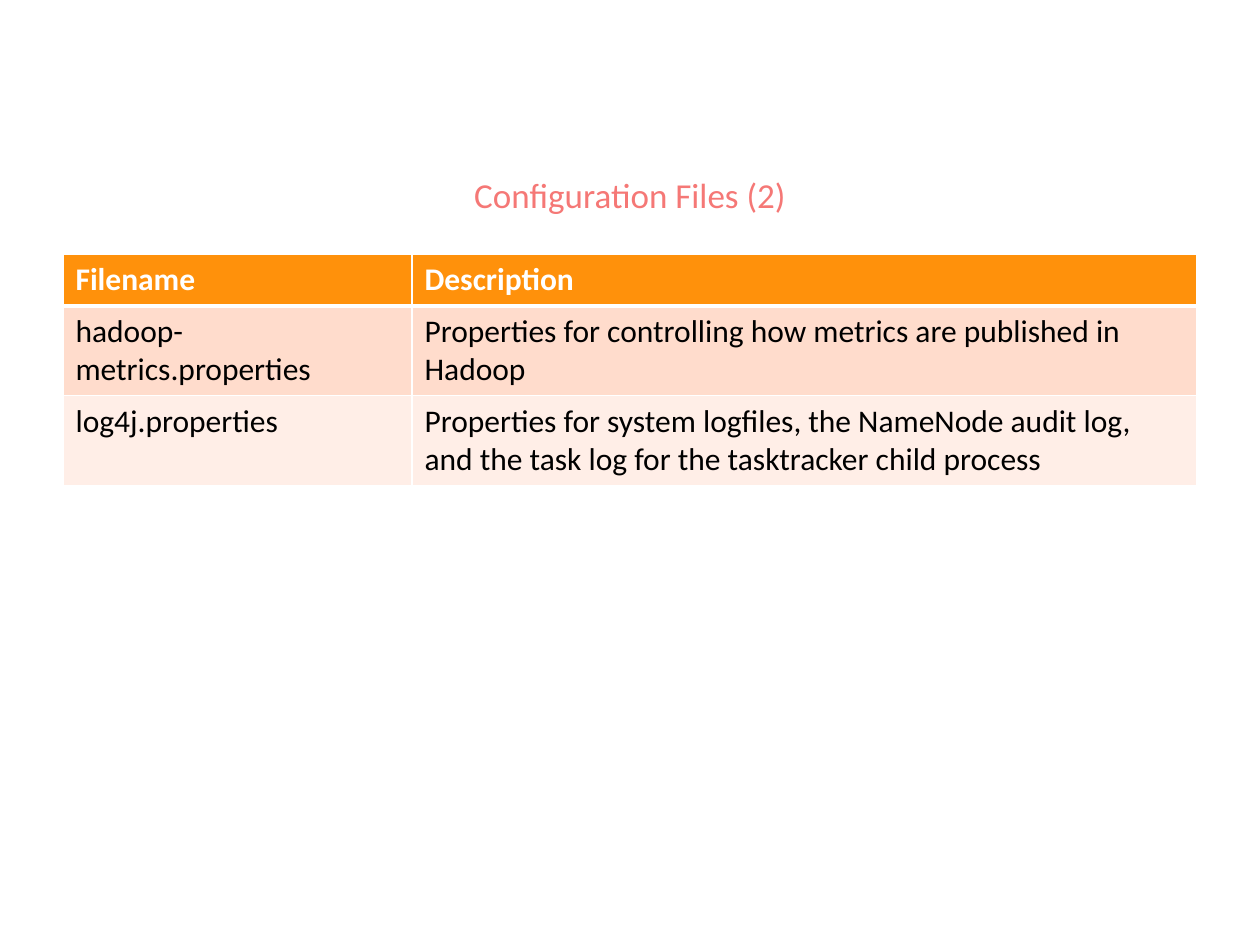
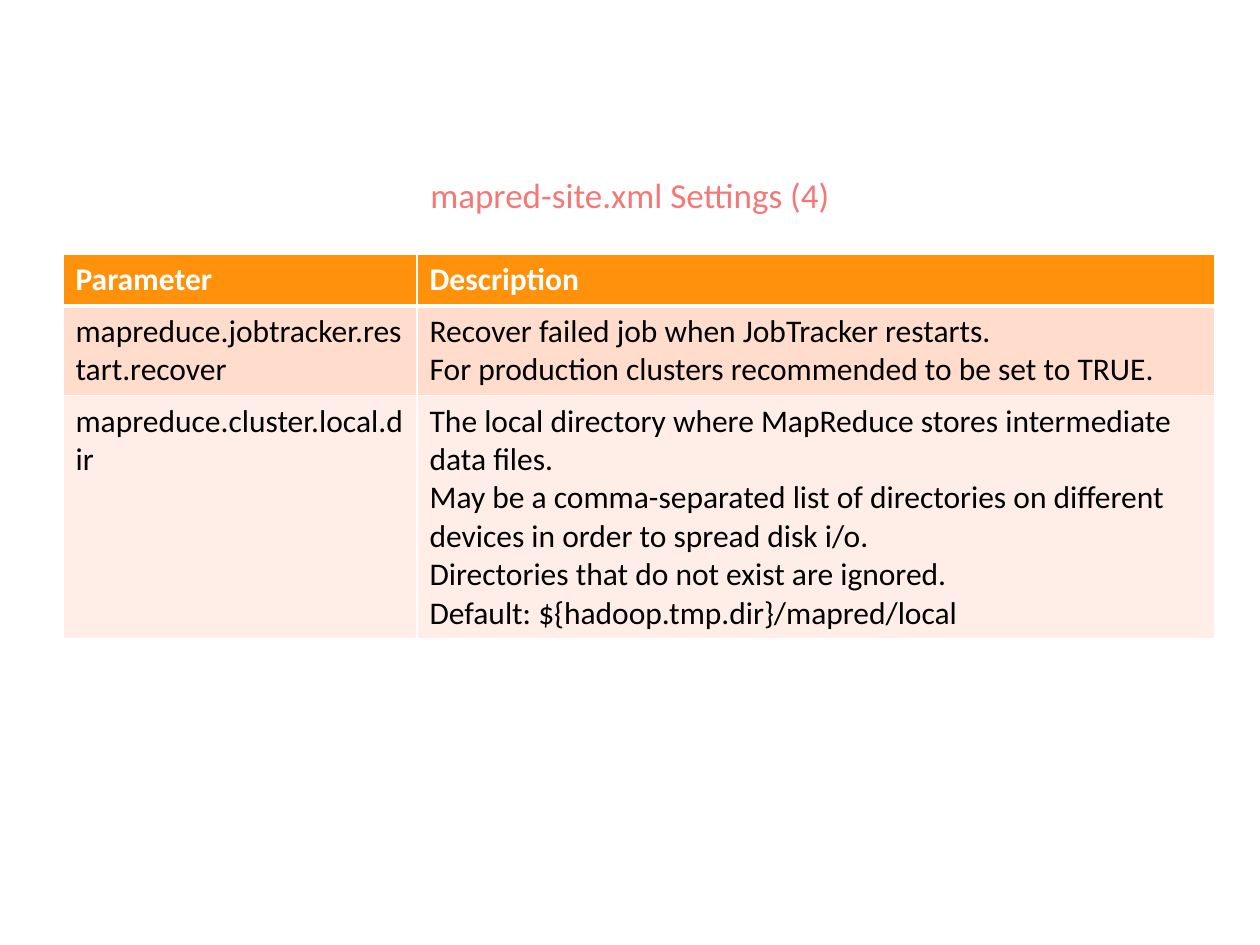
from lxml import etree
from pptx import Presentation
from pptx.dml.color import RGBColor
from pptx.enum.text import MSO_ANCHOR, PP_ALIGN
from pptx.oxml.ns import qn
from pptx.util import Inches, Pt

CENTER = PP_ALIGN.CENTER
MIDDLE = MSO_ANCHOR.MIDDLE

WHITE = RGBColor(0xFF, 0xFF, 0xFF)
BLACK = RGBColor(0x00, 0x00, 0x00)
CORAL = RGBColor(0xF5, 0x78, 0x76)
ORANGE = RGBColor(0xFF, 0x91, 0x0B)
PEACH = RGBColor(0xFF, 0xDC, 0xCC)
PALE_PEACH = RGBColor(0xFF, 0xEE, 0xE7)

FONT = "Calibri"
TITLE_FORMAT = {"name": FONT, "size": Pt(20), "color": CORAL}
HEADER_FORMAT = {"name": FONT, "size": Pt(18), "bold": True, "color": WHITE}
BODY_FORMAT = {"name": FONT, "size": Pt(18), "bold": False, "color": BLACK}

TITLE_ONLY = 5
LEFT = 0.5
TITLE_BOX = {"left": LEFT, "top": 1.15, "width": 9, "height": 0.79}
TABLE_TOP = 2.02
ROW_HEIGHT = 0.41
THIN, THICK = Pt(1), Pt(3)

CONFIG_FILES = [
    ("Filename", "Description"),
    ("hadoop-metrics.properties",
     "Properties for controlling how metrics are published in Hadoop"),
    ("log4j.properties",
     "Properties for system logfiles, the NameNode audit log, "
     "and the task log for the tasktracker child process"),
]
MAPRED_SETTINGS = [
    ("Parameter", "Description"),
    ("mapreduce.jobtracker.restart.recover",
     "Recover failed job when JobTracker restarts.\n"
     "For production clusters recommended to be set to TRUE."),
    ("mapreduce.cluster.local.dir",
     "The local directory where MapReduce stores intermediate data files.\n"
     "May be a comma-separated list of directories on different devices "
     "in order to spread disk i/o.\n"
     "Directories that do not exist are ignored.\n"
     "Default: ${hadoop.tmp.dir}/mapred/local"),
]


class Deck:
    def __init__(self):
        self.prs = Presentation()
        self.prs.slide_width = Inches(10)
        self.prs.slide_height = Inches(7.5)
        self.slide = None

    def add_slide(self, title):
        layout = self.prs.slide_layouts[TITLE_ONLY]
        self.slide = self.prs.slides.add_slide(layout)
        sp = self.slide.shapes.title
        for name, value in TITLE_BOX.items():
            setattr(sp, name, Inches(value))
        tf = sp.text_frame
        tf.text = title
        tf.vertical_anchor = MIDDLE
        tf.paragraphs[0].alignment = CENTER
        self.format_text(tf, TITLE_FORMAT)

    def add_table(self, rows, col_widths):
        frame = self.slide.shapes.add_table(
            len(rows), len(col_widths), Inches(LEFT), Inches(TABLE_TOP),
            Inches(sum(col_widths)), Inches(ROW_HEIGHT * len(rows)))
        table = frame.table
        for column, width in zip(table.columns, col_widths):
            column.width = Inches(width)
        for i, row in enumerate(rows):
            table.rows[i].height = Inches(ROW_HEIGHT)
            for j, text in enumerate(row):
                self.fill_cell(table.cell(i, j), text, i)

    def fill_cell(self, cell, text, row):
        cell.text = text
        cell.fill.solid()
        if row == 0:
            cell.fill.fore_color.rgb = ORANGE
        else:
            cell.fill.fore_color.rgb = PEACH if row % 2 else PALE_PEACH
        self.format_text(cell.text_frame, BODY_FORMAT if row else HEADER_FORMAT)
        self.set_borders(cell, {
            "a:lnL": THIN, "a:lnR": THIN,
            "a:lnT": THICK if row == 1 else THIN,
            "a:lnB": THICK if row == 0 else THIN})

    @staticmethod
    def set_borders(cell, widths):
        """Put white edge lines ahead of the fill, as the schema requires."""
        tc_pr = cell._tc.get_or_add_tcPr()
        for index, (tag, width) in enumerate(widths.items()):
            line = etree.Element(qn(tag), w=str(int(width)))
            fill = etree.SubElement(line, qn("a:solidFill"))
            etree.SubElement(fill, qn("a:srgbClr"), val=str(WHITE))
            tc_pr.insert(index, line)

    @staticmethod
    def format_text(tf, values):
        for p in tf.paragraphs:
            for r in p.runs:
                for name, value in values.items():
                    if name == "color":
                        r.font.color.rgb = value
                    else:
                        setattr(r.font, name, value)


def main():
    deck = Deck()
    deck.add_slide("Configuration Files (2)")
    deck.add_table(CONFIG_FILES, (2.77, 6.23))
    deck.add_slide("mapred-site.xml Settings (4)")
    deck.add_table(MAPRED_SETTINGS, (2.81, 6.33))
    deck.prs.save("out.pptx")


if __name__ == "__main__":
    main()
